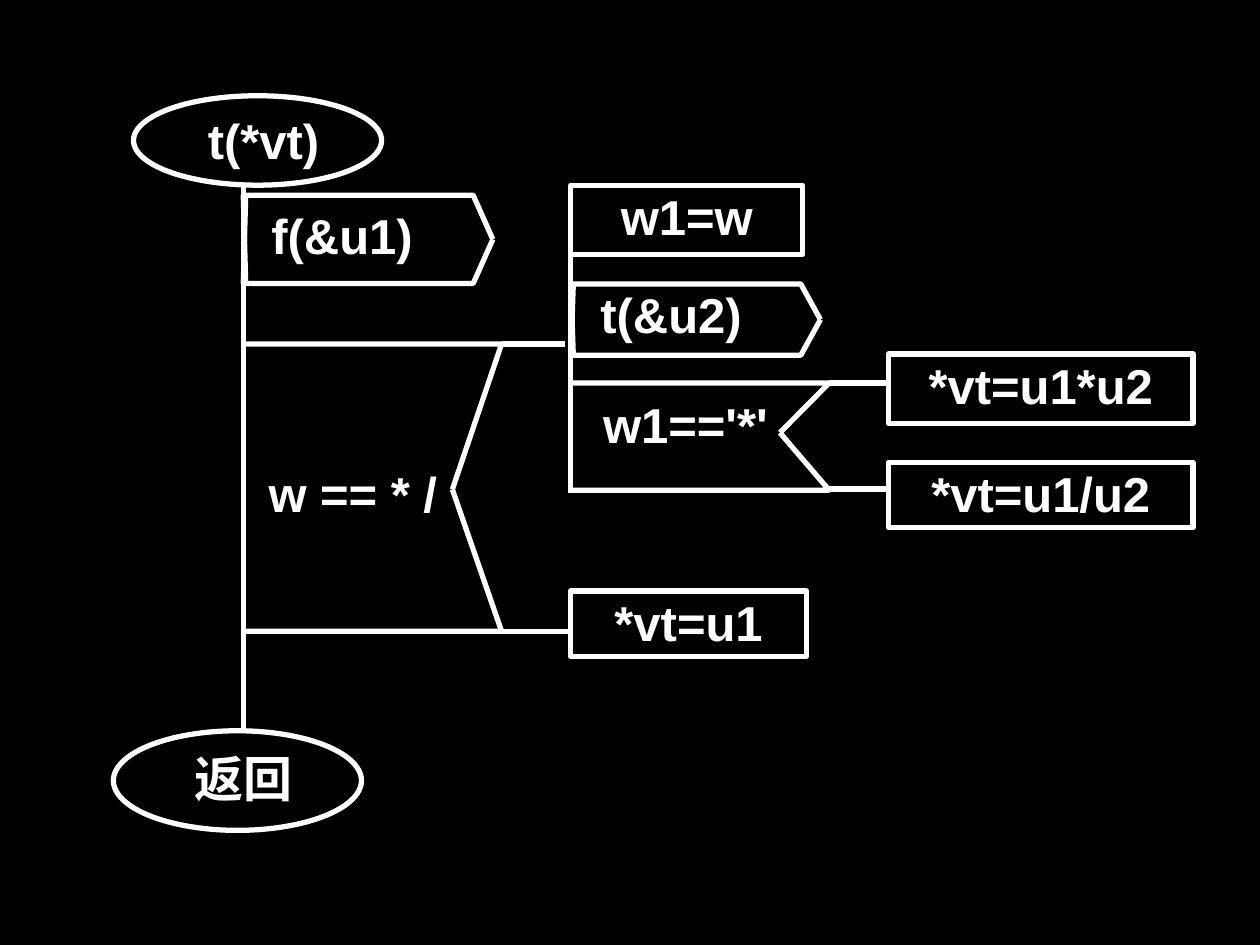
import pptx
import pptx.util
import pptx.dml.color
import pptx.enum.shapes
import pptx.enum.text
import lxml.etree

Pt = pptx.util.Pt
RGB = pptx.dml.color.RGBColor.from_string
KIND = pptx.enum.shapes.MSO_SHAPE
ALIGN = pptx.enum.text.PP_ALIGN
HUE = {"back": "000000", "ink": "FFFFFF"}
NS = "{http://schemas.openxmlformats.org/drawingml/2006/main}"

deck = pptx.Presentation()
deck.slide_width, deck.slide_height = Pt(720), Pt(540)
slide = deck.slides.add_slide(deck.slide_layouts[6])
slide.background.fill.solid()
slide.background.fill.fore_color.rgb = RGB(HUE["back"])
shapes = slide.shapes


def outline(shape):
    shape.shadow.inherit = False
    shape.fill.background()
    shape.line.color.rgb = RGB(HUE["ink"])
    shape.line.width = Pt(3)


def write(shape, text, align):
    frame = shape.text_frame
    frame.word_wrap = True
    frame.vertical_anchor = pptx.enum.text.MSO_ANCHOR.TOP
    frame.margin_left = frame.margin_right = Pt(0.72)
    frame.margin_top = frame.margin_bottom = Pt(0.72)
    para = frame.paragraphs[0]
    para.alignment = align
    run = para.add_run()
    run.text = text
    run.font.name = "Arial"
    run.font.size = Pt(28)
    run.font.bold = True
    run.font.color.rgb = RGB(HUE["ink"])


trunk, branch, leaf = 139, 326.2, 507.6
fork, split = 286.6, 473.8

for x, y, w, h in [(76.3, 54.7, 141.8, 51.1), (64.8, 417.6, 141.8, 56.9)]:
    outline(shapes.add_shape(KIND.OVAL, Pt(x), Pt(y), Pt(w), Pt(h)))

boxes = [
    ("w1=w", branch, 105.8, 132.5, 39.6),
    ("*vt=u1*u2", leaf, 202.3, 174.2, 39.6),
    ("*vt=u1/u2", leaf, 264.2, 174.2, 37.4),
    ("*vt=u1", branch, 337.7, 134.6, 37.4),
]
for text, x, y, w, h in boxes:
    box = shapes.add_shape(KIND.RECTANGLE, Pt(x), Pt(y), Pt(w), Pt(h))
    outline(box)
    write(box, text, ALIGN.CENTER)

labels = [
    ("t(*vt)", 118, 62.6, 96, 40.3, ALIGN.LEFT),
    ("返回", 110.5, 427, 92, 44.6, ALIGN.LEFT),
    ("f(&u1)", trunk, 116.6, 113, 44.6, ALIGN.CENTER),
    ("w == * /", 144.7, 264.2, 113.8, 41.8, ALIGN.CENTER),
    ("t(&u2)", branch, 162, 114.5, 37.4, ALIGN.CENTER),
    ("w1=='*'", 337.7, 224.6, 108, 42.5, ALIGN.CENTER),
]
for text, x, y, w, h, align in labels:
    label = shapes.add_textbox(Pt(x), Pt(y), Pt(w), Pt(h))
    write(label, text, align)

lines = [
    (trunk, 105.8, trunk, 417.6),
    (branch, 105.8, branch, 281.5),
    (fork, 196.6, 322.6, 196.6),
    (fork, 360.7, branch, 360.7),
    (split, 218.9, leaf, 218.9),
    (split, 279.4, leaf, 279.4),
]
for x1, y1, x2, y2 in lines:
    line = shapes.add_connector(
        pptx.enum.shapes.MSO_CONNECTOR.STRAIGHT, Pt(x1), Pt(y1), Pt(x2), Pt(y2))
    line.line.color.rgb = RGB(HUE["ink"])
    line.line.width = Pt(3)
    lxml.etree.SubElement(line._element.spPr, NS + "effectLst")

paths = []
for x, top, mid, low in [(trunk, 196.6, 279.7, 360.7), (branch, 218.9, 247.3, 280.1)]:
    for edge in (top, low):
        paths.append([(x, edge), (x + 147.6, edge), (x + 119.5, mid)])
for x, top, low in [(trunk, 111.6, 162), (branch, 162.3, 203)]:
    mid = (top + low) / 2
    for edge, far in [(top, low), (low, top)]:
        paths.append([(x + 1.4, far), (x, edge), (x + 131.4, edge), (x + 142.6, mid)])

for path in paths:
    spots = [(Pt(x), Pt(y)) for x, y in path]
    pen = shapes.build_freeform(*spots[0], scale=1.0)
    pen.add_line_segments(spots[1:], close=False)
    outline(pen.convert_to_shape())

deck.save("out.pptx")
